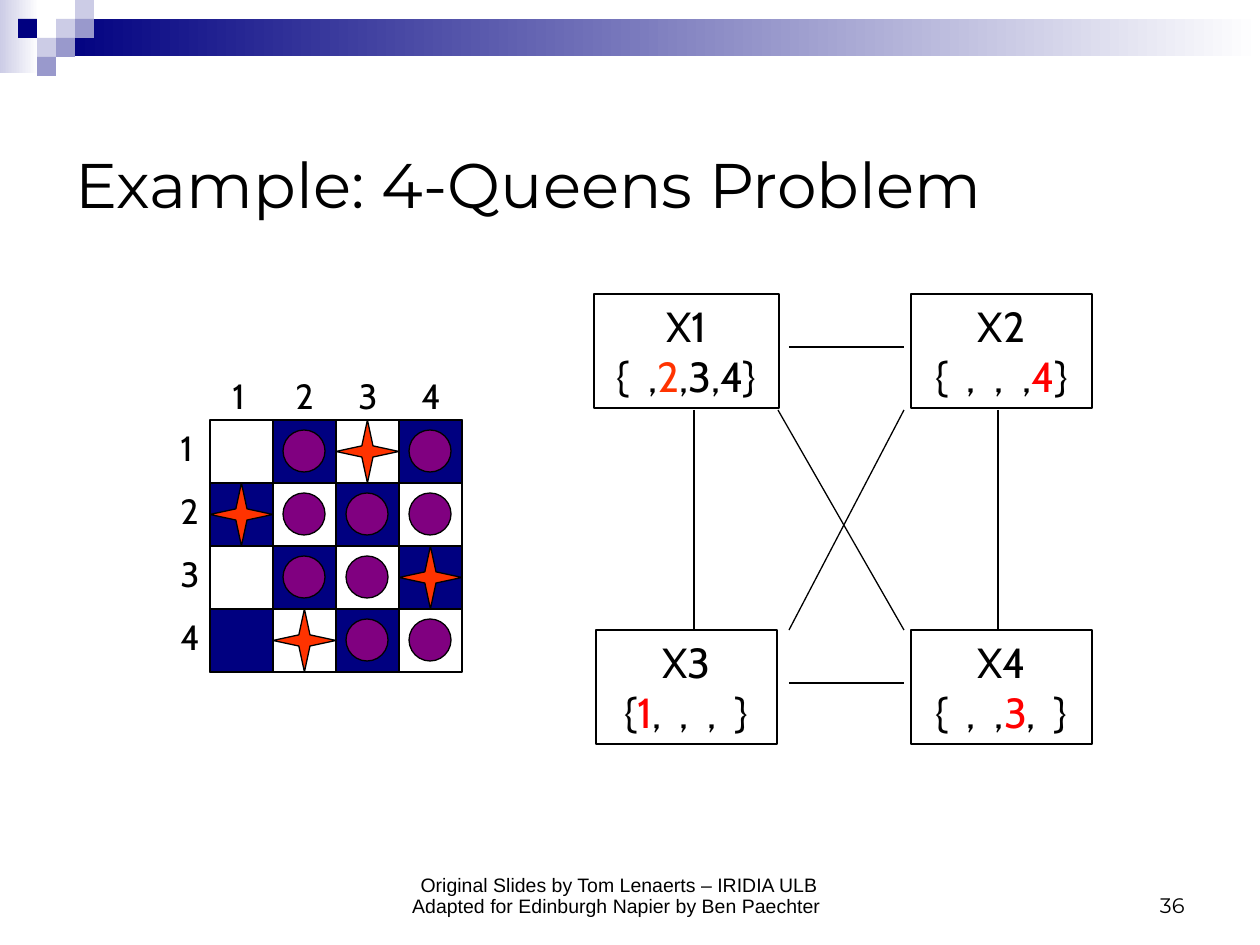
from pptx import Presentation
from pptx.dml.color import RGBColor
from pptx.enum.shapes import MSO_CONNECTOR, MSO_SHAPE
from pptx.enum.text import MSO_ANCHOR, PP_ALIGN
from pptx.oxml.ns import qn
from pptx.util import Emu, Pt
from lxml import etree

SCALE = 914400 / 126
RECT, OVAL, STAR = MSO_SHAPE.RECTANGLE, MSO_SHAPE.OVAL, MSO_SHAPE.STAR_4_POINT
STRAIGHT = MSO_CONNECTOR.STRAIGHT
TOP, MIDDLE, BOTTOM = MSO_ANCHOR.TOP, MSO_ANCHOR.MIDDLE, MSO_ANCHOR.BOTTOM
LEFT, CENTER, RIGHT = PP_ALIGN.LEFT, PP_ALIGN.CENTER, PP_ALIGN.RIGHT
BLACK = RGBColor(0x00, 0x00, 0x00)
WHITE = RGBColor(0xFF, 0xFF, 0xFF)
NAVY = RGBColor(0x00, 0x00, 0x80)
LAVENDER = RGBColor(0xCC, 0xCC, 0xE6)
PERIWINKLE = RGBColor(0x99, 0x99, 0xCC)
PURPLE = RGBColor(0x80, 0x00, 0x80)
ORANGE = RGBColor(0xFF, 0x33, 0x00)
RED = RGBColor(0xFF, 0x00, 0x00)
LINE_WIDTH = Pt(0.74)


def px(n):
    return Emu(round(n * SCALE))


def write(s, paragraphs, size=20, font="Cabin", align=LEFT, anchor=TOP, wrap=True, spacing=None):
    tf = s.text_frame
    tf.word_wrap = wrap
    tf.vertical_anchor = anchor
    for i, runs in enumerate(paragraphs):
        p = tf.add_paragraph() if i else tf.paragraphs[0]
        p.alignment = align
        if spacing:
            p.line_spacing = spacing
        for text, color in runs:
            r = p.add_run()
            r.text = text
            r.font.size = Pt(size)
            r.font.name = font
            r.font.color.rgb = color


def add_text(slide, box, lines, **fmt):
    s = slide.shapes.add_textbox(*map(px, box))
    write(s, [[(line, BLACK)] for line in lines], **fmt)


def add_shape(slide, kind, box, fill=None, fade=False, outline=False):
    s = slide.shapes.add_shape(kind, *map(px, box))
    s.shadow.inherit = False
    if fade:
        s.fill.gradient()
        s.fill.gradient_angle = 0
        for stop, color in zip(s.fill.gradient_stops, (fill, WHITE)):
            stop.color.rgb = color
    elif fill is None:
        s.fill.background()
    else:
        s.fill.solid()
        s.fill.fore_color.rgb = fill
    if outline:
        s.line.color.rgb = BLACK
        s.line.width = LINE_WIDTH
    else:
        s.line.fill.background()
    return s


def add_line(slide, *ends):
    c = slide.shapes.add_connector(STRAIGHT, *map(px, ends))
    c.line.color.rgb = BLACK
    c.line.width = LINE_WIDTH
    etree.SubElement(c._element.spPr, qn("a:effectLst"))


def draw_banner(slide, x, y, width):
    step = 19
    add_shape(slide, RECT, (x, y, 39, 73), LAVENDER, fade=True)
    add_shape(slide, RECT, (x + 3 * step, y + step, width - 3 * step, 2 * step - 1), NAVY, fade=True)
    squares = [(3, 1, LAVENDER), (4, 0, LAVENDER), (4, 1, PERIWINKLE), (2, 2, LAVENDER),
               (1, 1, NAVY), (3, 2, PERIWINKLE), (2, 3, PERIWINKLE)]
    for col, row, color in squares:
        add_shape(slide, RECT, (x + col * step - 1, y + row * step, step, step), color)


def draw_board(slide, x, y, size):
    cell = size // 4
    marks = [" o*o", "*ooo", " oo*", " *oo"]
    add_shape(slide, RECT, (x, y, size, size), outline=True)
    for i in range(4):
        add_text(slide, (x - 42, y + i * cell, 45, 55), [str(i + 1)], wrap=False)
        add_text(slide, (x + 10 + i * cell, y - 52, 45, 55), [str(i + 1)], wrap=False)
    for row, line in enumerate(marks):
        for col, mark in enumerate(line):
            left, top = x + col * cell, y + row * cell
            if (row + col) % 2:
                add_shape(slide, RECT, (left, top, cell, cell), NAVY, outline=True)
            if mark == "o":
                add_shape(slide, OVAL, (left + 10, top + 10, 42, 42), PURPLE, outline=True)
            elif mark == "*":
                star = add_shape(slide, STAR, (left, top, cell, cell), ORANGE, outline=True)
                star.adjustments[0] = 0.125


def draw_graph(slide, x, y):
    right, bottom = x + 317, y + 336
    nodes = [
        ("X1", (x, y, 185), "{  ,", "2", ",3,4}", ORANGE),
        ("X2", (right, y, 181), "{  ,  ,  ,", "4", "}", RED),
        ("X3", (x + 2, bottom, 181), "{", "1", ",  ,  ,  }", RED),
        ("X4", (right, bottom, 181), "{  ,  ,", "3", ",  }", RED),
    ]
    for name, box, before, value, after, color in nodes:
        s = add_shape(slide, RECT, (*box, 114), outline=True)
        domain = [(before, BLACK), (value, color), (after, BLACK)]
        write(s, [[(name, BLACK)], domain], size=24, align=CENTER, wrap=False)
    gap_left, gap_right, under = x + 195, x + 310, y + 116
    for top in (y, bottom):
        add_line(slide, gap_left, top + 53, gap_right, top + 53)
    for column in (x + 100, x + 404):
        add_line(slide, column, under, column, bottom)
    add_line(slide, x + 184, under, gap_right, bottom)
    add_line(slide, gap_right, under, gap_left, bottom)


def draw_footer(slide, x, y, height):
    credits = ["Original Slides by Tom Lenaerts – IRIDIA ULB",
               "Adapted for Edinburgh Napier by Ben Paechter "]
    add_text(slide, (x, y, 546, height), credits, size=11.1, font="Arial",
             align=CENTER, anchor=BOTTOM, spacing=0.9)
    add_text(slide, (x + 557, y, 294, height), ["36"], size=12, font="Montserrat",
             align=RIGHT, anchor=BOTTOM)


prs = Presentation()
prs.slide_width, prs.slide_height = px(1260), px(945)
slide = prs.slides.add_slide(prs.slide_layouts[6])
draw_banner(slide, 0, 0, 1260)
add_text(slide, (63, 105, 1134, 157), ["Example: 4-Queens Problem"],
         size=36, font="Montserrat", anchor=MIDDLE)
draw_board(slide, 210, 420, 252)
draw_graph(slide, 594, 294)
draw_footer(slide, 346, 861, 63)
prs.save("out.pptx")
